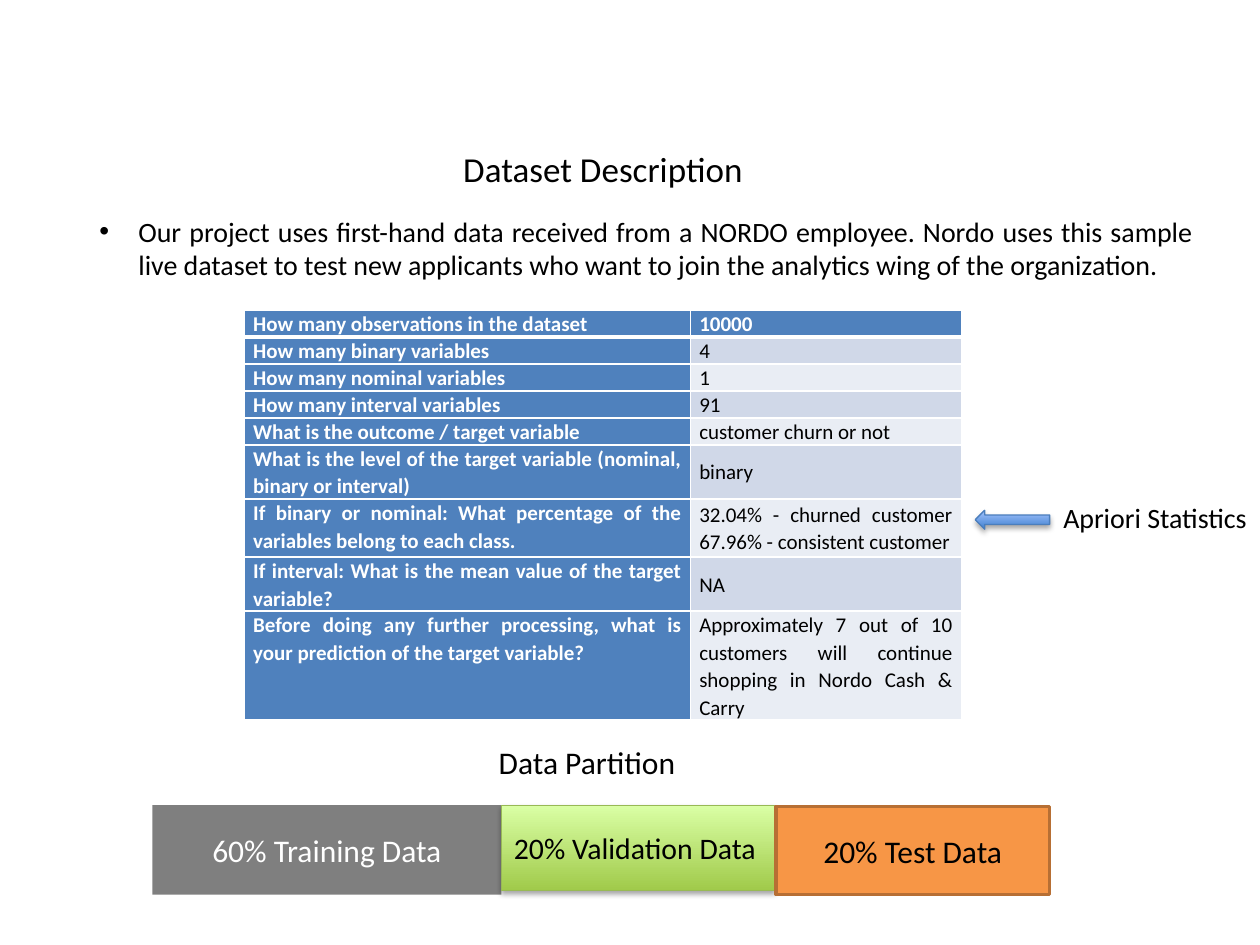
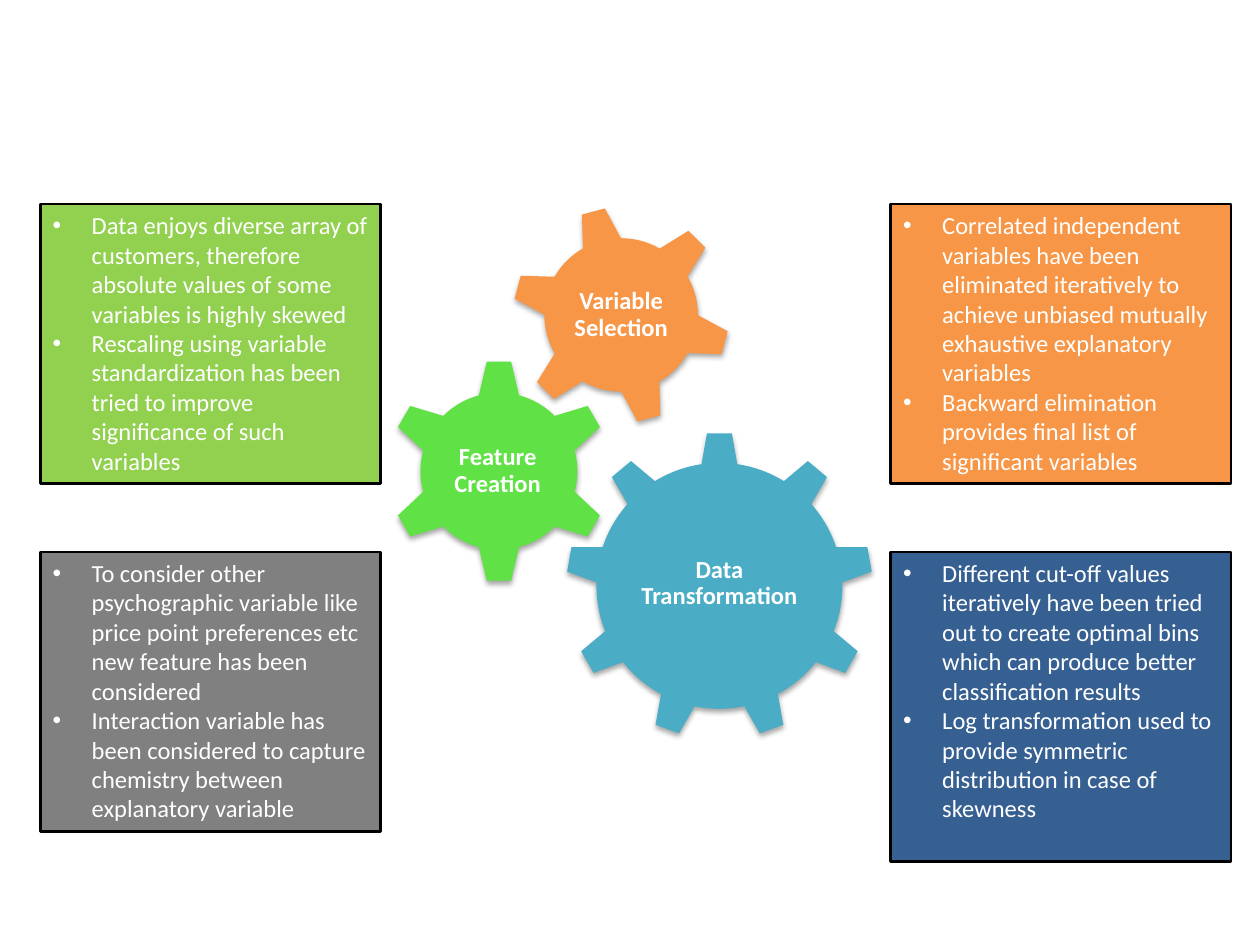
from lxml.etree import SubElement
from pptx import Presentation
from pptx.dml.color import RGBColor
from pptx.enum.shapes import MSO_SHAPE
from pptx.enum.text import MSO_ANCHOR, PP_ALIGN
from pptx.oxml.ns import qn
from pptx.util import Inches, Pt

BLACK = RGBColor(0x00, 0x00, 0x00)
WHITE = RGBColor(0xFF, 0xFF, 0xFF)
GREY = RGBColor(0x80, 0x80, 0x80)
BLUE = RGBColor(0x4F, 0x81, 0xBD)
NAVY = RGBColor(0x37, 0x60, 0x92)
TEAL = RGBColor(0x4B, 0xAC, 0xC6)
GREEN = RGBColor(0x60, 0xE1, 0x46)
LIME = RGBColor(0x92, 0xD0, 0x50)
ORANGE = RGBColor(0xF7, 0x96, 0x46)
ORANGE_EDGE = RGBColor(0xB7, 0x6F, 0x34)
BAND_DARK = RGBColor(0xD0, 0xD8, 0xE8)
BAND_LIGHT = RGBColor(0xE9, 0xED, 0xF4)
LIME_GLOSS = (RGBColor(0xA0, 0xCA, 0x4A), RGBColor(0xDA, 0xFF, 0xA5))
LIME_EDGE = RGBColor(0x98, 0xB9, 0x55)
BLUE_GLOSS = (RGBColor(0x3F, 0x80, 0xCE), RGBColor(0xA4, 0xC4, 0xFF))
BLUE_EDGE = RGBColor(0x4B, 0x7E, 0xBC)

TOP, MIDDLE, BOTTOM = MSO_ANCHOR.TOP, MSO_ANCHOR.MIDDLE, MSO_ANCHOR.BOTTOM
LEFT, CENTER, JUSTIFY = PP_ALIGN.LEFT, PP_ALIGN.CENTER, PP_ALIGN.JUSTIFY

DATASET_FACTS = [
    ("How many observations in the dataset", "10000", 0.21, BOTTOM, MIDDLE),
    ("How many binary variables", "4", 0.21, BOTTOM, MIDDLE),
    ("How many nominal variables", "1", 0.21, BOTTOM, MIDDLE),
    ("How many interval variables", "91", 0.21, BOTTOM, MIDDLE),
    ("What is the outcome / target variable", "customer churn or not",
     0.21, BOTTOM, MIDDLE),
    ("What is the level of the target variable (nominal, binary or interval)",
     "binary", 0.43, BOTTOM, MIDDLE),
    ("If binary or nominal: What percentage of the variables belong to each class.",
     "32.04% - churned customer 67.96% - consistent customer", 0.46, TOP, MIDDLE),
    ("If interval: What is the mean value of the target variable?", "NA",
     0.43, BOTTOM, MIDDLE),
    ("Before doing any further processing, what is your prediction of the target variable?",
     "Approximately 7 out of 10 customers will continue shopping in Nordo Cash & Carry",
     0.86, TOP, TOP),
]

GEARS = [
    ("Data Transformation", MSO_SHAPE.GEAR_9, (4.49, 3.43, 2.44, 2.44), TEAL, 0,
     (4.98, 4, 1.46, 1.26), 0.03),
    ("Feature Creation", MSO_SHAPE.GEAR_6, (3.07, 2.85, 1.78, 1.78), GREEN, 0,
     (3.51, 3.3, 0.88, 0.88), 0.02),
    ("Variable Selection", MSO_SHAPE.GEAR_6, (4.06, 1.63, 1.74, 1.74), ORANGE, 345,
     (4.44, 2.01, 0.98, 0.98), 0.05),
]

NOTES = [
    ((0.32, 4.38, 2.7, 2.22), GREY, [
        "To consider other psychographic variable like price point preferences etc "
        "new feature has been considered",
        "Interaction variable has been considered to capture chemistry between "
        "explanatory variable"]),
    ((0.32, 1.62, 2.7, 2.22), LIME, [
        "Data enjoys diverse array of customers, therefore absolute values of some "
        "variables is highly skewed",
        "Rescaling using variable standardization has been tried to improve "
        "significance of such variables"]),
    ((7.07, 4.38, 2.7, 2.46), NAVY, [
        "Different cut-off values iteratively have been tried out to create optimal "
        "bins which can produce better classification results",
        "Log transformation used to provide symmetric distribution in case of skewness"]),
    ((7.07, 1.62, 2.7, 2.22), ORANGE, [
        "Correlated independent variables have been eliminated iteratively to achieve "
        "unbiased mutually exhaustive explanatory variables",
        "Backward elimination provides final list of significant variables"]),
]


class Deck:
    """Hold the shared style and the current slide, and draw elements on it."""

    def __init__(self, font="Calibri"):
        self.font = font
        self.presentation = Presentation()
        self.presentation.slide_width = Inches(10)
        self.presentation.slide_height = Inches(7.5)
        self.slide = None

    def new_slide(self):
        self.slide = self.presentation.slides.add_slide(
            self.presentation.slide_layouts[6])

    def fill_text(self, frame, lines, size, color=BLACK, align=LEFT, anchor=TOP,
                  bold=False, bullet=False, spacing=None, indent=0):
        frame.word_wrap = True
        frame.vertical_anchor = anchor
        frame.text = "\n".join(lines)
        for paragraph in frame.paragraphs:
            paragraph.alignment = align
            if spacing:
                paragraph.line_spacing = spacing
            properties = paragraph._p.get_or_add_pPr()
            if indent:
                properties.set("marL", str(Inches(indent)))
            if bullet:
                properties.set("marL", str(Inches(0.31)))
                properties.set("indent", str(-Inches(0.31)))
                SubElement(properties, qn("a:buFont"), typeface="Arial")
                SubElement(properties, qn("a:buChar"), char="•")
            for run in paragraph.runs:
                run.font.name = self.font
                run.font.size = Pt(size)
                run.font.bold = bold
                run.font.color.rgb = color

    def text(self, box, words, size, inset=None, **style):
        frame = self.slide.shapes.add_textbox(*map(Inches, box)).text_frame
        if inset is not None:
            frame.margin_left = frame.margin_right = Inches(inset)
            frame.margin_top = frame.margin_bottom = Inches(inset)
        self.fill_text(frame, [words], size, **style)

    def shape(self, kind, box, fill, edge=None, weight=0.75, shadow=False,
              opacity=None, rotation=0):
        figure = self.slide.shapes.add_shape(kind, *map(Inches, box))
        figure.rotation = rotation
        if isinstance(fill, tuple) and not isinstance(fill, RGBColor):
            figure.fill.gradient()
            figure.fill.gradient_angle = 90
            for stop, color in zip(figure.fill.gradient_stops, fill):
                stop.color.rgb = color
        else:
            figure.fill.solid()
            figure.fill.fore_color.rgb = fill
        if opacity:
            color = figure._element.spPr.find(".//" + qn("a:srgbClr"))
            SubElement(color, qn("a:alpha"), val=str(opacity * 1000))
        if edge is None:
            figure.line.fill.background()
        else:
            figure.line.color.rgb = edge
            figure.line.width = Pt(weight)
        figure.shadow.inherit = False
        if shadow:
            self.cast_shadow(figure)
        return figure.text_frame

    def cast_shadow(self, figure):
        effects = figure._element.spPr.find(qn("a:effectLst"))
        outer = SubElement(effects, qn("a:outerShdw"), blurRad=str(Pt(3.1)),
                           dist=str(Pt(1.8)), dir="5400000", rotWithShape="0")
        color = SubElement(outer, qn("a:srgbClr"), val=str(BLACK))
        SubElement(color, qn("a:alpha"), val="35000")

    def border(self, cell, bottom):
        properties = cell._tc.get_or_add_tcPr()
        for place, (side, weight) in enumerate(
                [("lnL", 1), ("lnR", 1), ("lnT", 1), ("lnB", bottom)]):
            edge = SubElement(properties, qn("a:" + side), w=str(Pt(weight)))
            SubElement(SubElement(edge, qn("a:solidFill")), qn("a:srgbClr"),
                       val=str(WHITE))
            properties.insert(place, edge)

    def table(self, box, widths, facts):
        grid = self.slide.shapes.add_table(
            len(facts), len(widths), *map(Inches, box)).table
        grid.horz_banding = False
        grid.first_row = False
        for column, width in zip(grid.columns, widths):
            column.width = Inches(width)
        for index, (question, answer, height, *anchors) in enumerate(facts):
            grid.rows[index].height = Inches(height)
            band = BAND_DARK if index % 2 else BAND_LIGHT
            for place, words in enumerate((question, answer)):
                cell = grid.cell(index, place)
                heading = index == 0 or place == 0
                cell.fill.solid()
                cell.fill.fore_color.rgb = BLUE if heading else band
                cell.margin_left = cell.margin_right = Inches(0.07)
                cell.margin_top = cell.margin_bottom = 0
                self.fill_text(cell.text_frame, [words], 12,
                               WHITE if heading else BLACK, JUSTIFY,
                               bold=heading, spacing=1.07)
                cell.vertical_anchor = anchors[place]
                self.border(cell, 1 if index else 3)


def dataset_slide(deck):
    deck.new_slide()
    deck.text((3.38, 1.12, 2.81, 0.44), "Dataset Description", 20, align=CENTER)
    deck.text((0.69, 1.65, 8.88, 1.18),
              "Our project uses first-hand data received from a NORDO employee. "
              "Nordo uses this sample live dataset to test new applicants who want "
              "to join the analytics wing of the organization.",
              16, align=JUSTIFY, bullet=True)
    deck.table((1.94, 2.46, 5.69, 3.24), (3.54, 2.15), DATASET_FACTS)

    training = deck.shape(MSO_SHAPE.RECTANGLE, (1.21, 6.39, 2.77, 0.71), BLACK, opacity=50)
    deck.fill_text(training, ["60% Training Data"], 18, WHITE, CENTER, MIDDLE)
    validation = deck.shape(MSO_SHAPE.RECTANGLE, (3.98, 6.39, 2.17, 0.68), LIME_GLOSS,
                            LIME_EDGE, shadow=True)
    deck.fill_text(validation, ["20% Validation Data"], 17, anchor=MIDDLE)
    test = deck.shape(MSO_SHAPE.RECTANGLE, (6.16, 6.4, 2.17, 0.7), ORANGE, ORANGE_EDGE, 2)
    deck.fill_text(test, ["20% Test Data"], 18, align=CENTER, anchor=MIDDLE)

    deck.text((1.02, 5.85, 8.44, 0.71), "Data Partition", 18, indent=2.84)
    deck.text((8.34, 3.92, 1.92, 0.37), "Apriori Statistics", 16)
    deck.shape(MSO_SHAPE.LEFT_ARROW, (7.74, 4.05, 0.59, 0.15), BLUE_GLOSS, BLUE_EDGE,
               shadow=True)


def preparation_slide(deck):
    deck.new_slide()
    for step, gear, box, color, rotation, label_box, inset in GEARS:
        deck.shape(gear, box, color, shadow=True, rotation=rotation)
        deck.text(label_box, step, 14, inset, color=WHITE, align=CENTER,
                  anchor=MIDDLE, bold=True, spacing=0.9)
    for box, color, points in NOTES:
        note = deck.shape(MSO_SHAPE.RECTANGLE, box, color, BLACK, 1.5)
        deck.fill_text(note, points, 14, WHITE, anchor=TOP, bullet=True)


def main():
    deck = Deck()
    dataset_slide(deck)
    preparation_slide(deck)
    deck.presentation.save("out.pptx")


if __name__ == "__main__":
    main()
